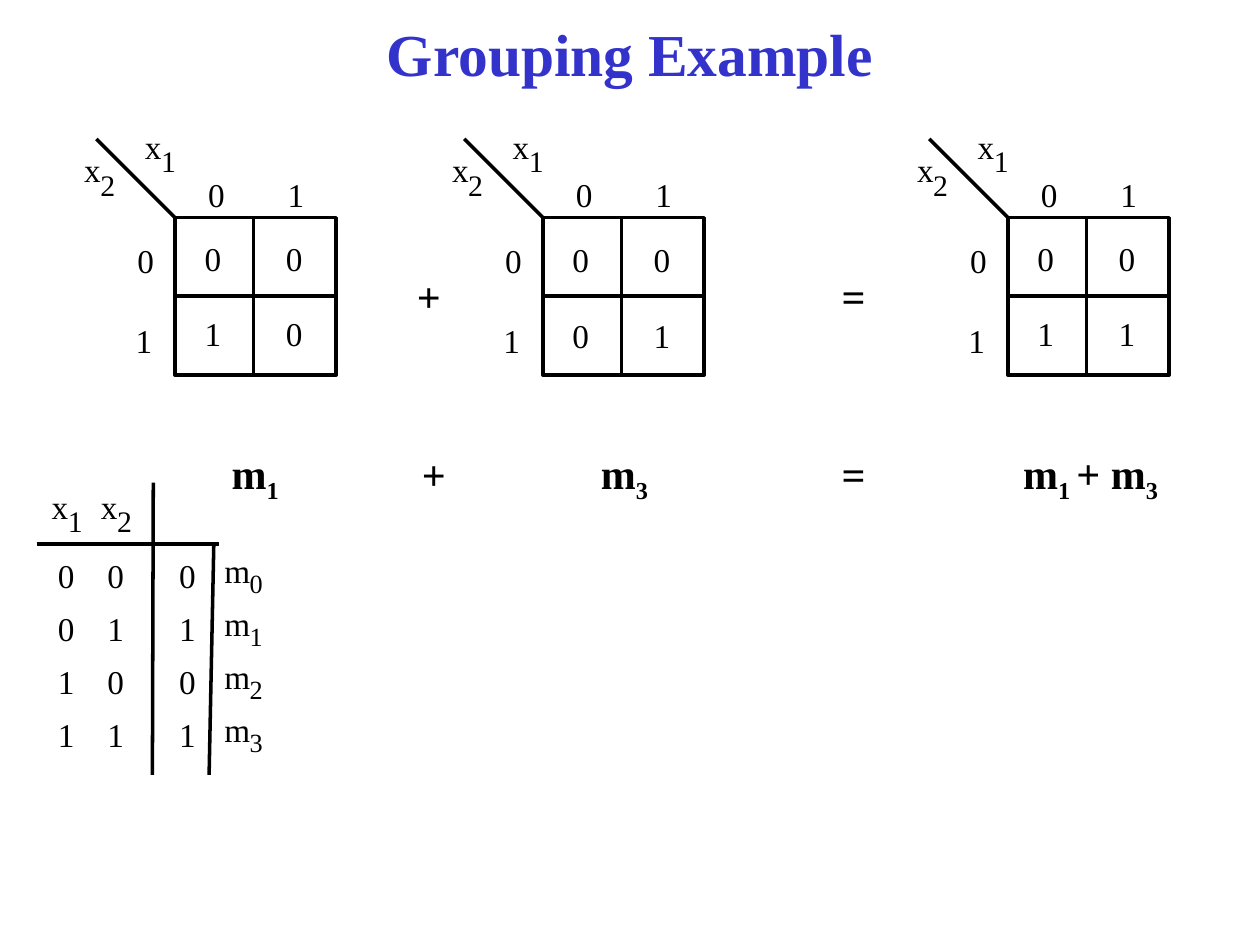
from dataclasses import dataclass

from lxml import etree
from pptx import Presentation, util as u
from pptx.dml.color import RGBColor
from pptx.enum import shapes, text
from pptx.oxml import ns

Pt = u.Pt
LEFT, CENTER = text.PP_ALIGN.LEFT, text.PP_ALIGN.CENTER


@dataclass(frozen=True)
class Theme:
    """Colours, font, type sizes and line width of the slide."""
    font: str = "Times New Roman"
    ink: RGBColor = RGBColor(0, 0, 0)
    paper: RGBColor = RGBColor(255, 255, 255)
    title: RGBColor = RGBColor(0x33, 0x33, 0xCC)
    title_size: int = 34
    term_size: int = 24
    label_size: int = 19
    index_size: int = 17
    minterm_index_size: int = 15
    line: int = 2


@dataclass(frozen=True)
class Kmap:
    """A two-variable map: left edge, cell rows and the term below it."""
    x: float
    rows: tuple[str, str]
    term: tuple[str, ...]  # normal and subscript runs in turn
    term_x: float
    cell_dy: float = 0


@dataclass(frozen=True)
class Operator:
    """A sign between two maps or two terms."""
    sign: str
    x: float
    y: float


T = Theme()
MAP_Y, MAP_W, MAP_H, MID_X, MID_Y = 124.4, 92, 90, 44.8, 44.8
TERM_Y, TERM_W, TERM_H = 252, 121.7, 36.7
ROW_Y, ROW_STEP = 317.5, 30.25

KMAPS = (
    Kmap(100.1, ("00", "10"), ("m", "1"), 85),
    Kmap(310.3, ("00", "01"), ("m", "3"), 296, 0.7),
    Kmap(576, ("00", "11"), ("m", "1 ", "+ m", "3"), 562.3),
)
OPERATORS = (
    Operator("+", 231.1, 151.2), Operator("=", 473.8, 151.2),
    Operator("+", 234, 252.7), Operator("=", 473.8, 252.7),
)
TRUTH_ROWS = ("000", "011", "100", "111")


def add_text(s, x: float, y: float, w: float, h: float, runs: tuple[str, ...],
             size: float, color: RGBColor = T.ink, bold: bool = False,
             align=LEFT, tight: bool = False):
    """Add a text box; every second run is a subscript."""
    sp = s.shapes.add_textbox(Pt(x), Pt(y), Pt(w), Pt(h))
    tf = sp.text_frame
    tf.word_wrap = not tight
    tf.auto_size = text.MSO_AUTO_SIZE.SHAPE_TO_FIT_TEXT
    if tight:
        tf.margin_left = tf.margin_right = tf.margin_top = tf.margin_bottom = 0
    p = tf.paragraphs[0]
    p.alignment = align
    p.font.name, p.font.size, p.font.bold = T.font, Pt(size), bold
    p.font.color.rgb = color
    for i, part in enumerate(runs):
        r = p.add_run()
        r.text = part
        if i % 2:
            r.font._element.set("baseline", "-25000")
    return sp


def add_label(s, x: float, y: float, label: str, size: float = T.label_size) -> None:
    """Add one plain character at its top left corner."""
    width = size * (0.78 if label == "m" else 0.5)
    add_text(s, x, y, width, size * 1.2, (label,), size, tight=True)


def add_indexed(s, x: float, y: float, name: str, index: str) -> None:
    """Add a variable or minterm name with its lowered index."""
    dx, size = (14.4, T.minterm_index_size) if name == "m" else (9.3, T.index_size)
    add_label(s, x, y, name)
    add_label(s, x + dx, y + 9.6, index, size)


def add_line(s, x1: float, y1: float, x2: float, y2: float) -> None:
    """Add a straight line without a shadow."""
    c = s.shapes.add_connector(shapes.MSO_CONNECTOR.STRAIGHT,
                               Pt(x1), Pt(y1), Pt(x2), Pt(y2))
    c.line.color.rgb, c.line.width = T.ink, Pt(T.line)
    etree.SubElement(c._element.spPr, ns.qn("a:effectLst"))


def add_kmap(s, k: Kmap) -> None:
    """Draw a map with its axis labels, cells and term."""
    x, y = k.x, MAP_Y
    sp = s.shapes.add_shape(shapes.MSO_SHAPE.RECTANGLE,
                            Pt(x), Pt(y), Pt(MAP_W), Pt(MAP_H))
    sp.shadow.inherit = False
    sp.fill.solid()
    sp.fill.fore_color.rgb = T.paper
    sp.line.color.rgb, sp.line.width = T.ink, Pt(T.line)
    add_line(s, x, y + MID_Y, x + MAP_W, y + MID_Y)
    add_line(s, x + MID_X, y, x + MID_X, y + MAP_H)
    add_line(s, x - 45, y - 45, x, y)
    add_indexed(s, x - 52, y - 38.8, "x", "2")
    add_indexed(s, x - 17.3, y - 52.3, "x", "1")
    for i, row in enumerate(k.rows):
        add_label(s, x - 21.6 - i, y + 13.2 + 45.3 * i, str(i))
        add_label(s, x + 18.8 + 45.4 * i, y - 25, str(i))
        for j, value in enumerate(row):
            add_label(s, x + 16.8 + 46.4 * j, y + 11.8 + 43.1 * i + k.cell_dy, value)
    add_text(s, k.term_x, TERM_Y, TERM_W, TERM_H, k.term, T.term_size,
             bold=True, align=CENTER)


def add_truth_table(s) -> None:
    """Draw the truth table with its minterm names."""
    add_line(s, 20.9, 311, 125.3, 311)
    add_line(s, 87.1, 442.8, 87.6, 275.8)
    add_line(s, 119.5, 442.8, 122.2, 311)
    for x, index in ((29.5, "1"), (57.7, "2")):
        add_indexed(s, x, 277.7, "x", index)
    for i, row in enumerate(TRUTH_ROWS):
        y = ROW_Y + ROW_STEP * i
        for x, value in zip((33.1, 61.3, 102.3), row):
            add_label(s, x, y, value)
        add_indexed(s, 128.2, y - 2.9, "m", str(i))


def main() -> None:
    """Build and save the slide."""
    prs = Presentation()
    prs.slide_width, prs.slide_height = Pt(720), Pt(540)
    s = prs.slides.add_slide(prs.slide_layouts[6])
    sp = add_text(s, 18, 6, 684, 48, ("Grouping Example",), T.title_size,
                  T.title, True, CENTER)
    sp.text_frame.vertical_anchor = text.MSO_ANCHOR.MIDDLE
    for k in KMAPS:
        add_kmap(s, k)
    for o in OPERATORS:
        add_text(s, o.x, o.y, 21, 36.4, (o.sign,), T.term_size, bold=True)
    add_truth_table(s)
    prs.save("out.pptx")


main()
